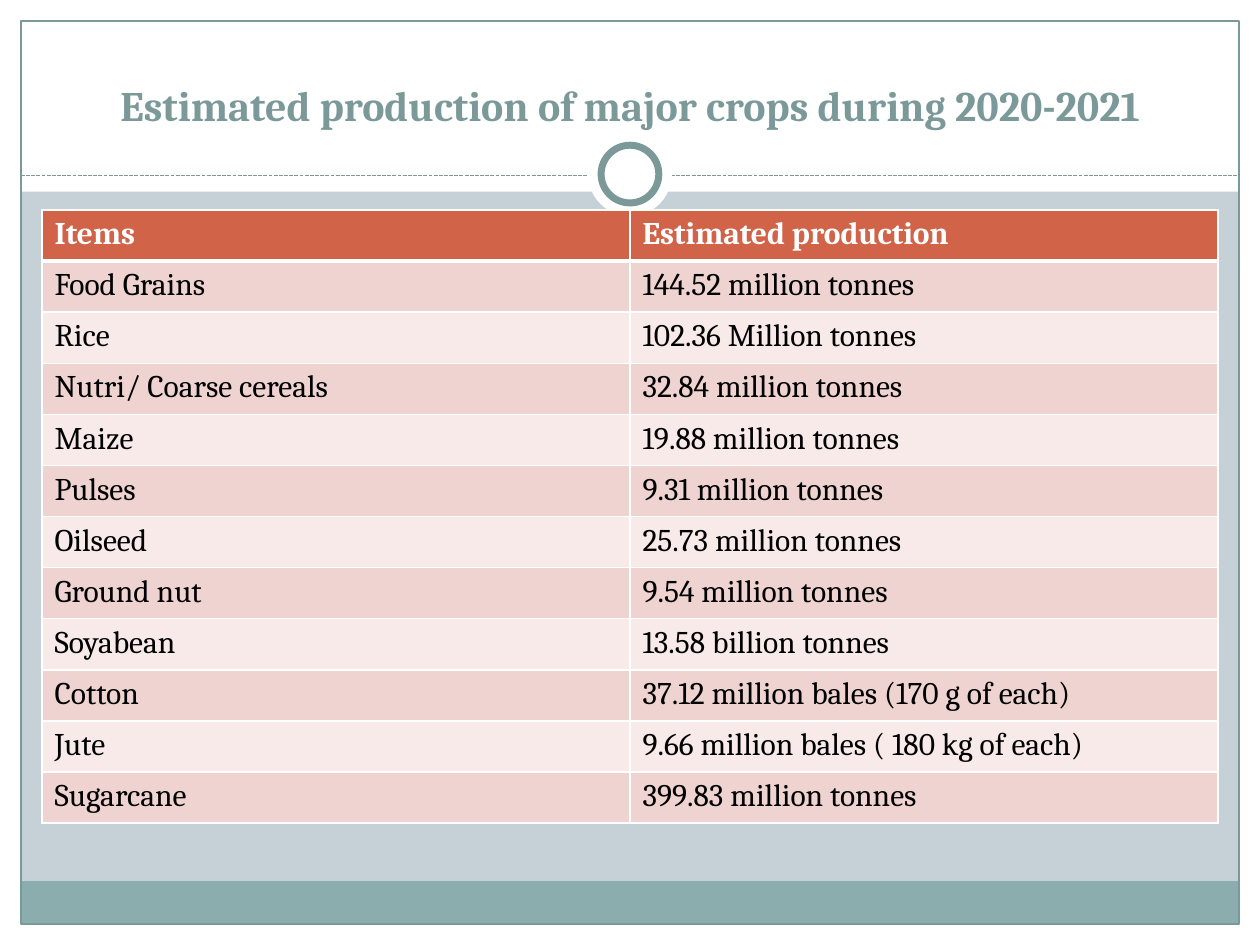
from lxml import etree
from pptx import Presentation
from pptx.dml.color import RGBColor
from pptx.enum import dml, shapes, text
from pptx.oxml import ns
from pptx.util import Pt

WHITE = RGBColor(0xFF, 0xFF, 0xFF)
BLACK = RGBColor(0x00, 0x00, 0x00)
BACKGROUND = RGBColor(0xC5, 0xD1, 0xD7)
FOOTER = RGBColor(0x8C, 0xAD, 0xAE)
TEAL = RGBColor(0x7C, 0x99, 0x9A)
HEADER = RGBColor(0xD1, 0x63, 0x49)
BANDS = [RGBColor(0xF7, 0xEA, 0xE9), RGBColor(0xEE, 0xD3, 0xD0)]
FONT = "Cambria"
WIDTH, HEIGHT, MARGIN = 720, 540, 12

CROPS = [
    ("Items", "Estimated production"),
    ("Food Grains", "144.52 million tonnes"),
    ("Rice", "102.36 Million tonnes"),
    ("Nutri/ Coarse cereals", "32.84 million tonnes"),
    ("Maize", "19.88 million tonnes"),
    ("Pulses", "9.31 million tonnes"),
    ("Oilseed", "25.73 million tonnes"),
    ("Ground nut", "9.54 million tonnes"),
    ("Soyabean", "13.58 billion tonnes"),
    ("Cotton", "37.12 million bales (170 g of each)"),
    ("Jute", "9.66 million bales ( 180 kg of each)"),
    ("Sugarcane", "399.83 million tonnes"),
]


def add_panel(kind, box, fill=None, line=None, weight=0.75):
    panel = slide.shapes.add_shape(kind, *map(Pt, box))
    panel.shadow.inherit = False
    if fill is None:
        panel.fill.background()
    else:
        panel.fill.solid()
        panel.fill.fore_color.rgb = fill
    if line is None:
        panel.line.fill.background()
    else:
        panel.line.color.rgb = line
        panel.line.width = Pt(weight)


def add_borders(cell, weights):
    """Give a cell white borders; weights are points for left, right, top, bottom."""
    properties = cell._tc.get_or_add_tcPr()
    for side, weight in zip("LRTB", weights):
        border = etree.SubElement(properties, ns.qn(f"a:ln{side}"), w=str(Pt(weight)))
        fill = etree.SubElement(border, ns.qn("a:solidFill"))
        etree.SubElement(fill, ns.qn("a:srgbClr"), val=str(WHITE))


prs = Presentation()
prs.slide_width, prs.slide_height = Pt(WIDTH), Pt(HEIGHT)
slide = prs.slides.add_slide(prs.slide_layouts[5])
slide.background.fill.solid()
slide.background.fill.fore_color.rgb = BACKGROUND

# White margins, footer band and frame
RECT, OVAL = shapes.MSO_SHAPE.RECTANGLE, shapes.MSO_SHAPE.OVAL
inner_width, inner_height = WIDTH - 2 * MARGIN, HEIGHT - 2 * MARGIN
for margin in [
    (0, HEIGHT - MARGIN, WIDTH, MARGIN),
    (0, 0, WIDTH, 109.5),
    (0, 0, MARGIN, HEIGHT),
    (WIDTH - MARGIN, 0, MARGIN, HEIGHT),
]:
    add_panel(RECT, margin, WHITE)
add_panel(RECT, (MARGIN, 503.5, inner_width, 24.5), FOOTER)
add_panel(RECT, (MARGIN, MARGIN, inner_width, inner_height), line=TEAL)

# Dashed divider with a ring at its centre
divider = slide.shapes.add_connector(
    shapes.MSO_CONNECTOR.STRAIGHT, Pt(MARGIN), Pt(100.5), Pt(WIDTH - MARGIN), Pt(100.5)
)
divider.line.color.rgb = TEAL
divider.line.width = Pt(0.75)
divider.line.dash_style = dml.MSO_LINE.SQUARE_DOT
etree.SubElement(divider._element.spPr, ns.qn("a:effectLst"))
add_panel(OVAL, (336, 75.5, 48, 48), WHITE)
add_panel(OVAL, (343.5, 83, 33, 33), WHITE, TEAL, 4)

# Title, brought in front of the panels
title = slide.shapes.title
slide.shapes._spTree.append(title._element)
title.left, title.top, title.width, title.height = Pt(24), Pt(18), Pt(672), Pt(60)
title.text_frame.text = "Estimated production of major crops during 2020-2021"
title.text_frame.vertical_anchor = text.MSO_ANCHOR.BOTTOM
heading = title.text_frame.paragraphs[0]
heading.alignment = text.PP_ALIGN.CENTER
heading.font.name, heading.font.size, heading.font.bold = FONT, Pt(24), True
heading.font.color.rgb = TEAL

# Crop table
production = slide.shapes.add_table(
    len(CROPS), 2, Pt(24), Pt(120), Pt(672), Pt(29.2 * len(CROPS))
).table
for row, crop in enumerate(CROPS):
    is_header = row == 0
    for column, wording in enumerate(crop):
        cell = production.cell(row, column)
        add_borders(cell, (1, 1, 3 if row == 1 else 1, 3 if is_header else 1))
        cell.fill.solid()
        cell.fill.fore_color.rgb = HEADER if is_header else BANDS[row % 2]
        cell.text_frame.text = wording
        font = cell.text_frame.paragraphs[0].runs[0].font
        font.name, font.size, font.bold = FONT, Pt(18), is_header
        font.color.rgb = WHITE if is_header else BLACK

prs.save("out.pptx")
